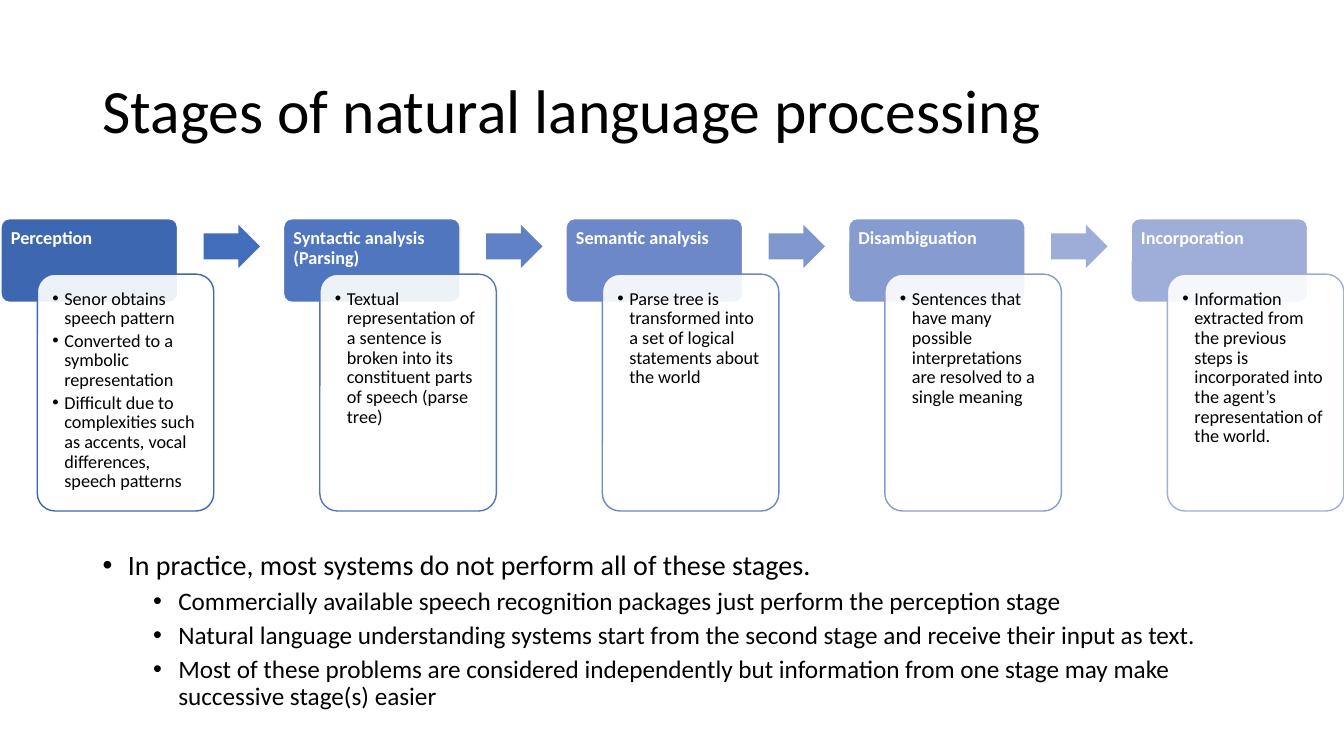
import dataclasses
import typing

import lxml.etree
import pptx
import pptx.dml.color
import pptx.enum.shapes
import pptx.enum.text
import pptx.oxml.ns
import pptx.util

SLIDE_WIDTH, SLIDE_HEIGHT = pptx.util.Inches(13.33), pptx.util.Inches(7.5)
FONT = "Calibri"
BLACK, WHITE = "000000", "FFFFFF"
SHAPES = pptx.enum.shapes.MSO_SHAPE


@dataclasses.dataclass(frozen=True)
class Area:
    """Left, top, width and height as percentages of the slide."""
    left: float
    top: float
    width: float
    height: float

    def shifted(self, distance: float) -> "Area":
        return dataclasses.replace(self, left=self.left + distance)

    def lengths(self) -> tuple[int, int, int, int]:
        return (int(SLIDE_WIDTH * self.left / 100), int(SLIDE_HEIGHT * self.top / 100),
                int(SLIDE_WIDTH * self.width / 100), int(SLIDE_HEIGHT * self.height / 100))


@dataclasses.dataclass(frozen=True)
class TextStyle:
    size: float
    colour: str = BLACK
    bold: bool = False
    indent: float = 0  # left margin, inches
    hanging: float = 0  # bullet hang, inches
    before: float = 0
    after: float = 0


@dataclasses.dataclass(frozen=True)
class Stage:
    title: str
    points: list[str]
    colour: str
    arrow_colour: typing.Optional[str] = None


TITLE_AREA = Area(6.9, 5.33, 86.25, 19.33)
PRACTICE_AREA = Area(6.9, 72.27, 86.25, 25.73)

# Parts of the first stage; the others follow at an equal pitch
STAGE_PITCH = 21.02
HEADER_AREA = Area(0.08, 28.93, 13.13, 11.07)
HEADING_AREA = dataclasses.replace(HEADER_AREA, height=7.33)
CARD_AREA = Area(2.78, 36.27, 13.13, 31.33)
POINTS_AREA = Area(3.15, 36.93, 12.3, 30)
ARROW_AREA = Area(15.15, 29.73, 4.2, 5.73)

TITLE_STYLE = TextStyle(44)
HEADING_STYLE = TextStyle(13, WHITE, bold=True)
POINT_STYLE = TextStyle(13, indent=0.12, hanging=0.12, after=2)
PRACTICE_STYLE = TextStyle(20, indent=0.25, hanging=0.25)
DETAIL_STYLE = TextStyle(18, indent=0.75, hanging=0.25, before=5)

STAGES = [
    Stage("Perception",
          ["Senor obtains speech pattern",
           "Converted to a symbolic representation",
           "Difficult due to complexities such as accents, vocal differences, speech patterns"],
          "3E67B2", "416DBB"),
    Stage("Syntactic analysis (Parsing)",
          ["Textual representation of a sentence is broken into its constituent parts "
           "of speech (parse tree)"],
          "5176C0", "6081C5"),
    Stage("Semantic analysis",
          ["Parse tree is transformed into a set of logical statements about the world"],
          "6C88C8", "8097CE"),
    Stage("Disambiguation",
          ["Sentences that have many possible interpretations are resolved to a single meaning"],
          "869BD0", "9EADD8"),
    Stage("Incorporation",
          ["Information extracted from the previous steps is incorporated into the agent’s "
           "representation of the world."],
          "9FAED8"),
]

PRACTICE = "In practice, most systems do not perform all of these stages."
DETAILS = [
    "Commercially available speech recognition packages just perform the perception stage",
    "Natural language understanding systems start from the second stage and receive "
    "their input as text.",
    "Most of these problems are considered independently but information from one stage "
    "may make successive stage(s) easier",
]


def rgb(colour: str) -> pptx.dml.color.RGBColor:
    return pptx.dml.color.RGBColor.from_string(colour)


def add_bullet(paragraph, style: TextStyle) -> None:
    properties = paragraph._p.get_or_add_pPr()
    properties.set("marL", str(pptx.util.Inches(style.indent)))
    properties.set("indent", str(-pptx.util.Inches(style.hanging)))
    for tag, attribute, value in (("a:buFont", "typeface", "Arial"), ("a:buChar", "char", "•")):
        element = lxml.etree.SubElement(properties, pptx.oxml.ns.qn(tag))
        element.set(attribute, value)


def add_text(slide, area: Area, lines: list[tuple[str, TextStyle]],
             top_inset: float = 0.05, bottom_inset: float = 0.05, middle: bool = False) -> None:
    frame = slide.shapes.add_textbox(*area.lengths()).text_frame
    frame.word_wrap = True
    frame.margin_top = pptx.util.Inches(top_inset)
    frame.margin_bottom = pptx.util.Inches(bottom_inset)
    anchors = pptx.enum.text.MSO_ANCHOR
    frame.vertical_anchor = anchors.MIDDLE if middle else anchors.TOP
    frame.text = "\n".join(text for text, _ in lines)
    for paragraph, (_, style) in zip(frame.paragraphs, lines):
        if style.hanging:
            add_bullet(paragraph, style)
        paragraph.line_spacing = 0.9
        paragraph.space_before = pptx.util.Pt(style.before)
        paragraph.space_after = pptx.util.Pt(style.after)
        for run in paragraph.runs:
            run.font.name = FONT
            run.font.size = pptx.util.Pt(style.size)
            run.font.bold = style.bold
            run.font.color.rgb = rgb(style.colour)


def add_block(slide, kind, area: Area, adjustments: list[float], fill: str,
              line: typing.Optional[str] = None, opacity: int = 100) -> None:
    block = slide.shapes.add_shape(kind, *area.lengths())
    block.shadow.inherit = False
    for index, value in enumerate(adjustments):
        block.adjustments[index] = value
    block.fill.solid()
    block.fill.fore_color.rgb = rgb(fill)
    if opacity < 100:
        fill_colour = block._element.spPr.find(".//" + pptx.oxml.ns.qn("a:srgbClr"))
        alpha = lxml.etree.SubElement(fill_colour, pptx.oxml.ns.qn("a:alpha"))
        alpha.set("val", str(opacity * 1000))
    if line:
        block.line.color.rgb = rgb(line)
        block.line.width = pptx.util.Pt(1)
    else:
        block.line.fill.background()


def add_stage(slide, stage: Stage, shift: float) -> None:
    add_block(slide, SHAPES.ROUNDED_RECTANGLE, HEADER_AREA.shifted(shift), [0.1],
              stage.colour, WHITE)
    add_text(slide, HEADING_AREA.shifted(shift), [(stage.title, HEADING_STYLE)], top_inset=0.1)
    add_block(slide, SHAPES.ROUNDED_RECTANGLE, CARD_AREA.shifted(shift), [0.1],
              WHITE, stage.colour, opacity=90)
    add_text(slide, POINTS_AREA.shifted(shift), [(point, POINT_STYLE) for point in stage.points],
             top_inset=0.1, bottom_inset=0.1)
    if stage.arrow_colour:
        add_block(slide, SHAPES.RIGHT_ARROW, ARROW_AREA.shifted(shift), [0.6, 0.5],
                  stage.arrow_colour)


def main() -> None:
    presentation = pptx.Presentation()
    presentation.slide_width, presentation.slide_height = SLIDE_WIDTH, SLIDE_HEIGHT
    slide = presentation.slides.add_slide(presentation.slide_layouts[6])

    # Title
    add_text(slide, TITLE_AREA, [("Stages of natural language processing", TITLE_STYLE)],
             middle=True)

    # Process from left to right
    for position, stage in enumerate(STAGES):
        add_stage(slide, stage, position * STAGE_PITCH)

    # Remarks on practice
    add_text(slide, PRACTICE_AREA,
             [(PRACTICE, PRACTICE_STYLE)] + [(detail, DETAIL_STYLE) for detail in DETAILS])

    presentation.save("out.pptx")


if __name__ == "__main__":
    main()
